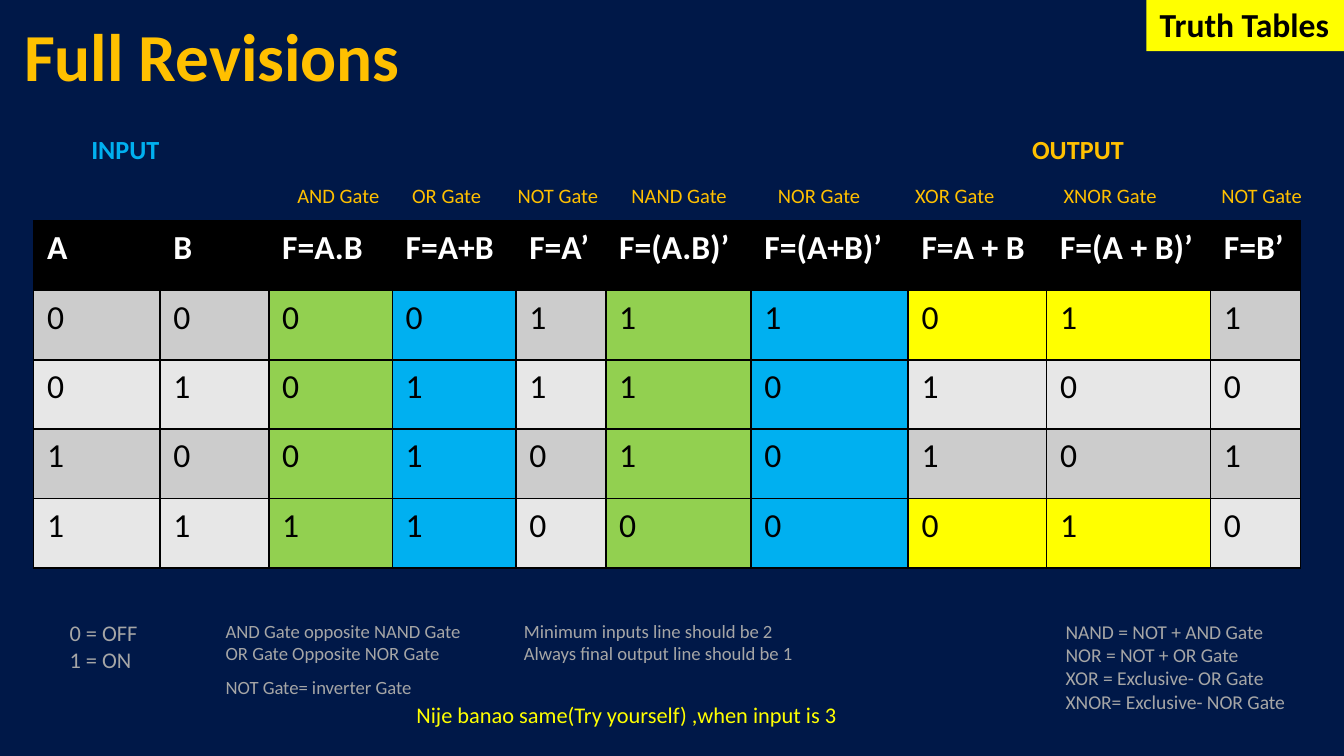
from dataclasses import dataclass

from lxml import etree
from pptx import Presentation
from pptx.dml.color import RGBColor
from pptx.enum.shapes import MSO_SHAPE
from pptx.enum.text import MSO_ANCHOR
from pptx.oxml.ns import qn
from pptx.util import Pt

RECTANGLE = MSO_SHAPE.RECTANGLE
MIDDLE = MSO_ANCHOR.MIDDLE

FONT = "Calibri"
NAVY, BLACK, WHITE = "001848", "000000", "FFFFFF"
ORANGE, YELLOW, GREEN, BLUE = "FFC000", "FFFF00", "92D050", "00B0F0"
NOTE_GRAY, DARK_BAND, LIGHT_BAND = "A6A6A6", "CCCCCC", "E7E7E7"
ROW_HEIGHT = 37.15


@dataclass(frozen=True)
class Column:
    heading: str
    values: str
    width: float
    gate: str = ""
    fill: str = ""
    filled_rows: tuple[int, ...] = (1, 2, 3, 4)


@dataclass(frozen=True)
class Label:
    lines: tuple[str, ...]
    left: float
    top: float
    width: float
    height: float
    size: float
    color: str
    bold: bool = False
    tabs: tuple[float, ...] = ()


COLUMNS = (
    Column("A", "0011", 67.7),
    Column("B", "0101", 58.3),
    Column("F=A.B", "0001", 66.2, "AND Gate", GREEN),
    Column("F=A+B", "0111", 66.2, "OR Gate", BLUE),
    Column("F=A’", "1100", 48.2, "NOT Gate"),
    Column("F=(A.B)’", "1110", 77.8, "NAND Gate", GREEN),
    Column("F=(A+B)’", "1000", 84.2, "NOR Gate", BLUE),
    Column("F=A + B", "0110", 74.2, "XOR Gate", YELLOW, (1, 4)),
    Column("F=(A + B)’", "1001", 87.8, "XNOR Gate", YELLOW, (1, 4)),
    Column("F=B’", "1010", 48.2, "NOT Gate"),
)

TITLE = Label(("Full Revisions",), 5.8, 4.3, 218, 51, 36, ORANGE, True)
GATES = Label(
    ("\t".join(column.gate for column in COLUMNS if column.gate),),
    152.2, 94.3, 562, 20.9, 11, ORANGE,
    tabs=(61.5, 118, 179, 257.5, 331, 410.5, 495),
)
GROUPS = Label(("INPUT",), 41.8, 67.7, 580, 24.5, 14, BLUE, True, (504,))
NOTES = (
    Label(("0 = OFF", "1 = ON"), 30.2, 328.3, 51.8, 36, 12, NOTE_GRAY),
    Label(("AND Gate opposite NAND Gate", "OR Gate Opposite NOR Gate"),
          113.8, 328.3, 142.6, 31.7, 10, NOTE_GRAY),
    Label(("NAND = NOT + AND Gate", "NOR = NOT + OR Gate",
           "XOR = Exclusive- OR Gate", "XNOR= Exclusive- NOR Gate"),
          563.8, 328.3, 134.6, 58.3, 10.5, NOTE_GRAY),
    Label(("NOT Gate= inverter Gate",), 113.8, 358.6, 116.6, 19.4, 10, NOTE_GRAY),
    Label(("Minimum inputs line should be 2", "Always final output line should be 1"),
          273.6, 328.3, 159.8, 31.7, 10, NOTE_GRAY),
)
BADGE = Label(("Truth Tables",), 614.2, -1.4, 105.8, 28.8, 18, BLACK, True)
TASK = Label(("Nije banao same(Try yourself) ,when input is 3",),
             216, 372.2, 241.9, 21.6, 12, YELLOW)


def rgb(color: str) -> RGBColor:
    return RGBColor.from_string(color)


def style_run(run, size: float, color: str, bold: bool) -> None:
    run.font.name = FONT
    run.font.size = Pt(size)
    run.font.bold = bold
    run.font.color.rgb = rgb(color)


def fill_text(text_frame, label: Label) -> None:
    text_frame.word_wrap = bool(label.tabs)
    text_frame.text = "\n".join(label.lines)
    for paragraph in text_frame.paragraphs:
        for run in paragraph.runs:
            style_run(run, label.size, label.color, label.bold)
        if label.tabs:
            properties = paragraph._p.get_or_add_pPr()
            tab_list = etree.SubElement(properties, qn("a:tabLst"))
            for position in label.tabs:
                etree.SubElement(tab_list, qn("a:tab"), pos=str(Pt(position)), algn="l")


def add_label(slide, label: Label):
    box = slide.shapes.add_textbox(
        Pt(label.left), Pt(label.top), Pt(label.width), Pt(label.height))
    fill_text(box.text_frame, label)
    return box


def add_badge(slide, label: Label) -> None:
    shape = slide.shapes.add_shape(
        RECTANGLE, Pt(label.left), Pt(label.top), Pt(label.width), Pt(label.height))
    shape.shadow.inherit = False
    shape.fill.solid()
    shape.fill.fore_color.rgb = rgb(YELLOW)
    shape.line.fill.background()
    fill_text(shape.text_frame, label)
    shape.text_frame.vertical_anchor = MIDDLE


def add_borders(cell) -> None:
    properties = cell._tc.get_or_add_tcPr()
    for side in ("a:lnL", "a:lnR", "a:lnT", "a:lnB"):
        line = etree.SubElement(properties, qn(side), w=str(Pt(1)))
        fill = etree.SubElement(line, qn("a:solidFill"))
        etree.SubElement(fill, qn("a:srgbClr"), val=BLACK)


def cell_fill(column: Column, row: int) -> str:
    if row == 0:
        return BLACK
    if column.fill and row in column.filled_rows:
        return column.fill
    return DARK_BAND if row % 2 else LIGHT_BAND


def add_truth_table(slide) -> None:
    row_count = len(COLUMNS[0].values) + 1
    total_width = sum(column.width for column in COLUMNS)
    table = slide.shapes.add_table(
        row_count, len(COLUMNS), Pt(18), Pt(118.5),
        Pt(total_width), Pt(ROW_HEIGHT * row_count)).table
    for row in table.rows:
        row.height = Pt(ROW_HEIGHT)
    for index, column in enumerate(COLUMNS):
        table.columns[index].width = Pt(column.width)
        for row, text in enumerate((column.heading, *column.values)):
            cell = table.cell(row, index)
            add_borders(cell)
            cell.fill.solid()
            cell.fill.fore_color.rgb = rgb(cell_fill(column, row))
            cell.text_frame.text = text
            is_heading = row == 0
            style_run(cell.text_frame.paragraphs[0].runs[0], 18,
                      WHITE if is_heading else BLACK, is_heading)


def main() -> None:
    presentation = Presentation()
    presentation.slide_width = Pt(720)
    presentation.slide_height = Pt(405)
    slide = presentation.slides.add_slide(presentation.slide_layouts[6])
    slide.background.fill.solid()
    slide.background.fill.fore_color.rgb = rgb(NAVY)

    add_label(slide, TITLE)
    add_truth_table(slide)
    add_label(slide, GATES)
    groups = add_label(slide, GROUPS)
    output = groups.text_frame.paragraphs[0].add_run()
    output.text = "\tOUTPUT"
    style_run(output, GROUPS.size, ORANGE, GROUPS.bold)
    for note in NOTES:
        add_label(slide, note)
    add_badge(slide, BADGE)
    add_label(slide, TASK)
    presentation.save("out.pptx")


if __name__ == "__main__":
    main()
